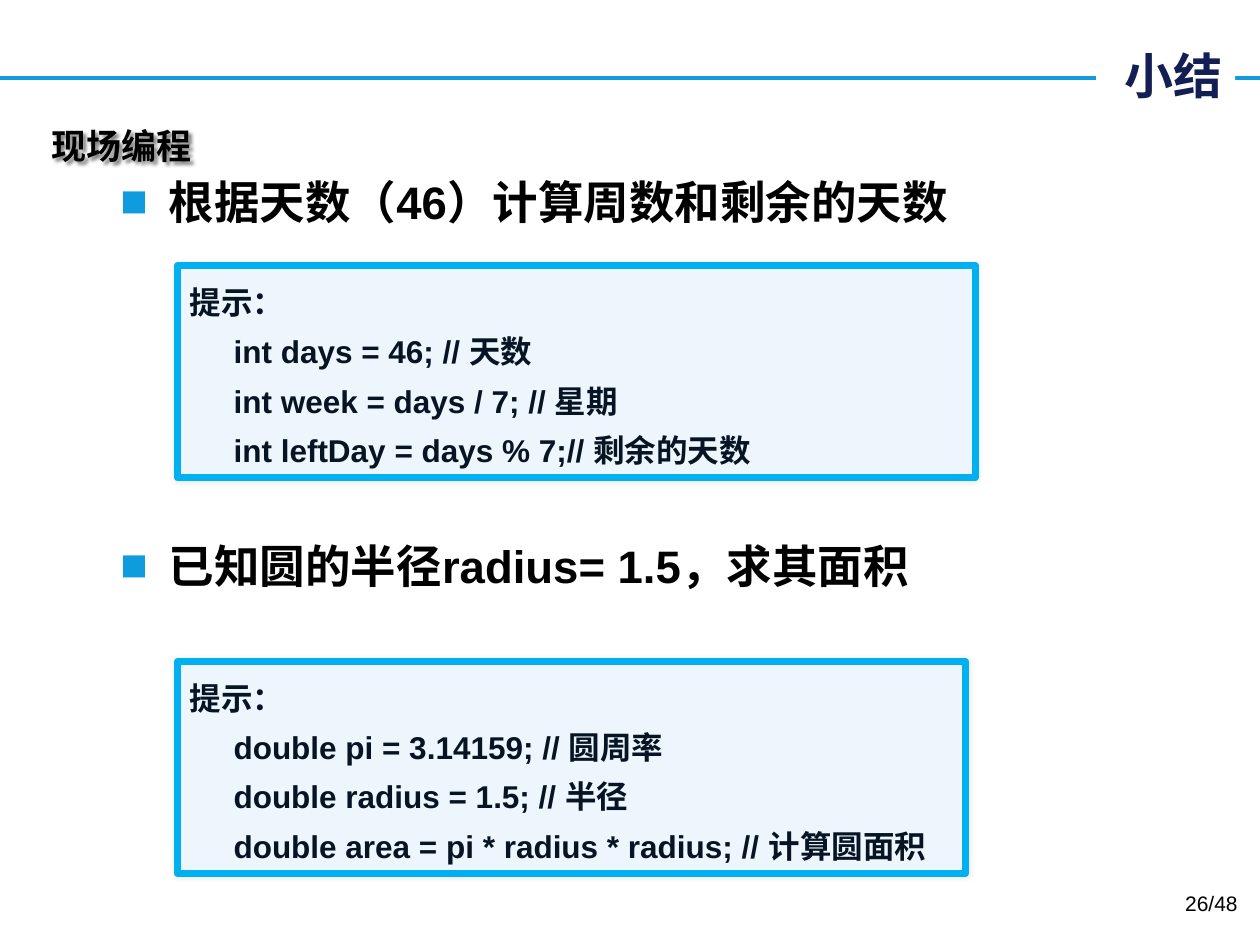
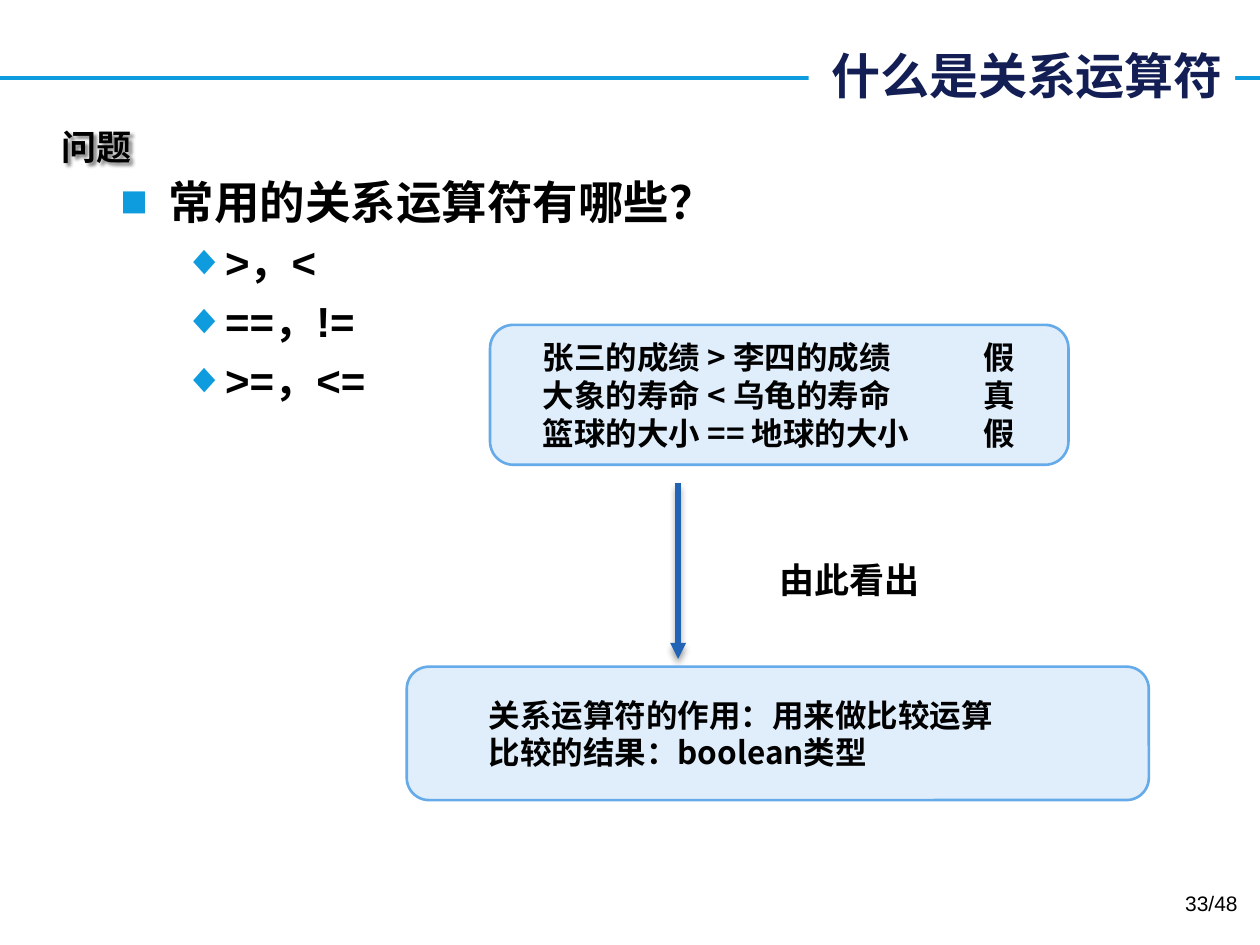
import lxml.etree
import pptx
import pptx.dml.color
import pptx.enum.shapes
import pptx.enum.text
import pptx.oxml.ns
import pptx.util

Cm = pptx.util.Cm
Pt = pptx.util.Pt
ALIGN = pptx.enum.text.PP_ALIGN
MID = pptx.enum.text.MSO_ANCHOR.MIDDLE
ROUND = pptx.enum.shapes.MSO_SHAPE.ROUNDED_RECTANGLE
STRAIGHT = pptx.enum.shapes.MSO_CONNECTOR.STRAIGHT
SANS, CJK = "Arial", "Noto Sans CJK SC"
BLACK, WHITE, NAVY, SKY = "000000", "FFFFFF", "121E54", "0E9CDE"
HINT = {"fill": "EDF5FD", "edge": "00B0F0", "width": 4}
CARD = {"fill": "E0EEFB", "edge": "65AAE9", "width": 1.5}


def paint(code):
    return pptx.dml.color.RGBColor.from_string(code)


def put(thing, form):
    for name, value in form.items():
        setattr(thing, name, value)


def node(parent, tag, **attrs):
    item = lxml.etree.SubElement(parent, pptx.oxml.ns.qn("a:" + tag))
    for name, value in attrs.items():
        item.set(name, str(value))
    return item


class Deck:
    """Holds the shared style and the current slide."""

    def __init__(self):
        self.show = pptx.Presentation()
        put(self.show, {"slide_width": Cm(25.4), "slide_height": Cm(19.05)})
        self.slide = None

    def page(self, title, left, number):
        self.slide = self.show.slides.add_slide(self.show.slide_layouts[6])
        self.line(0, 1.57, 25.4, 1.57, SKY, 2.25)
        box = self.text([title], left, 0.79, 24.9 - left, 1.45, 28, CJK,
                        color=NAVY, align=ALIGN.RIGHT, anchor=MID)
        box.fill.solid()
        box.fill.fore_color.rgb = paint(WHITE)
        self.text([f"{number}/48"], 19.28, 17.83, 5.92, 1.02, 12,
                  bold=False, align=ALIGN.RIGHT)

    def shade(self, shape, alpha, blur, dist, angle):
        props = shape._element.spPr
        for old in props.findall(pptx.oxml.ns.qn("a:effectLst")):
            props.remove(old)
        drop = node(node(props, "effectLst"), "outerShdw", blurRad=Pt(blur),
                    dist=Pt(dist), dir=angle * 60000, rotWithShape=0)
        node(node(drop, "srgbClr", val=BLACK), "alpha", val=alpha * 1000)

    def line(self, x1, y1, x2, y2, color, width):
        line = self.slide.shapes.add_connector(
            STRAIGHT, Cm(x1), Cm(y1), Cm(x2), Cm(y2))
        line.line.color.rgb = paint(color)
        line.line.width = Pt(width)
        node(line._element.spPr, "effectLst")
        return line

    def arrow(self, x, top, end, color):
        line = self.line(x, top, x, end, color, 3)
        node(line.line._get_or_add_ln(), "tailEnd", type="triangle")
        self.shade(line, 40, 4, 3, 90)

    def add_words(self, para, words, size, font=SANS, color=BLACK, bold=True):
        run = para.add_run()
        run.text = words
        put(run.font, {"size": Pt(size), "name": font, "bold": bold})
        run.font.color.rgb = paint(color)
        node(run._r.get_or_add_rPr(), "ea", typeface=CJK)

    def fill(self, shape, rows, size, font=SANS, color=BLACK, bold=True,
             align=ALIGN.LEFT, anchor=pptx.enum.text.MSO_ANCHOR.TOP,
             space=1.0, inset=0.25, tab=None):
        frame = shape.text_frame
        put(frame, {"word_wrap": True, "vertical_anchor": anchor,
                    "margin_left": Cm(inset)})
        for index, words in enumerate(rows):
            para = frame.paragraphs[0] if index == 0 else frame.add_paragraph()
            if tab:
                stops = node(para._p.get_or_add_pPr(), "tabLst")
                node(stops, "tab", pos=Cm(tab), algn="l")
            put(para, {"alignment": align, "line_spacing": space})
            self.add_words(para, words, size, font, color, bold)

    def text(self, rows, left, top, width, height, size, font=SANS, **form):
        box = self.slide.shapes.add_textbox(
            Cm(left), Cm(top), Cm(width), Cm(height))
        self.fill(box, rows, size, font, **form)
        return box

    def head(self, words, left, top, width):
        box = self.text([words], left, top, width, 1.12, 20, CJK)
        self.shade(box, 50, 2, 2, 45)

    def list(self, rows, top, height):
        box = self.slide.shapes.add_textbox(
            Cm(2.18), Cm(top), Cm(21.23), Cm(height))
        frame = box.text_frame
        frame.word_wrap = True
        marks = [("■", 26, 0.97, 0.97), ("◆", 24, 2.06, 0.79)]
        for index, (level, words) in enumerate(rows):
            mark, size, left, hang = marks[level]
            para = frame.paragraphs[0] if index == 0 else frame.add_paragraph()
            props = para._p.get_or_add_pPr()
            props.set("marL", str(Cm(left)))
            props.set("indent", str(-Cm(hang)))
            node(node(props, "buClr"), "srgbClr", val=SKY)
            node(props, "buFont", typeface=SANS)
            node(props, "buChar", char=mark)
            put(para, {"level": level,
                       "space_before": Pt(size * 0.2 if index else 0)})
            self.add_words(para, words, size)

    def panel(self, rows, left, top, width, height, look, curve, **form):
        box = self.slide.shapes.add_shape(
            ROUND, Cm(left), Cm(top), Cm(width), Cm(height))
        box.adjustments[0] = curve
        box.shadow.inherit = False
        box.fill.solid()
        box.fill.fore_color.rgb = paint(look["fill"])
        box.line.color.rgb = paint(look["edge"])
        box.line.width = Pt(look["width"])
        self.fill(box, rows, 18, **form)
        return box

    def hint(self, code, top, width):
        rows = ["提示："] + ["     " + row for row in code]
        box = self.panel(rows, 3.58, top, width, 4.27, HINT, 0,
                         color="071424", space=1.3)
        self.shade(box, 10, 3, 0, 0)

    def card(self, rows, left, top, width, height, inset, tab=None):
        self.panel(rows, left, top, width, height, CARD, 0.167, font=CJK,
                   anchor=MID, inset=inset, tab=tab)


def main():
    deck = Deck()

    deck.page("小结", 22.1, 26)
    deck.head("现场编程", 0.79, 2.39, 3.58)
    deck.list([(0, "根据天数（46）计算周数和剩余的天数")], 3.38, 1.5)
    deck.hint(["int days = 46; // 天数",
               "int week = days / 7; // 星期",
               "int leftDay = days % 7;// 剩余的天数"], 5.36, 16.08)
    deck.list([(0, "已知圆的半径radius= 1.5，求其面积")], 10.72, 1.5)
    deck.hint(["double pi = 3.14159; // 圆周率",
               "double radius = 1.5; // 半径",
               "double area = pi * radius * radius; // 计算圆面积"],
              13.34, 15.88)

    deck.page("什么是关系运算符", 16.3, 33)
    deck.head("问题", 0.99, 2.41, 1.96)
    deck.list([(0, "常用的关系运算符有哪些？"), (1, ">，<"),
               (1, "==，!="), (1, ">=，<=")], 3.38, 6)
    deck.card(["张三的成绩 > 李四的成绩\t假",
               "大象的寿命 < 乌龟的寿命\t真",
               "篮球的大小 == 地球的大小\t假"],
              9.88, 6.55, 11.66, 2.82, 0.93, tab=8.89)
    deck.arrow(13.67, 9.73, 13.28, "2163B4")
    deck.text(["由此看出"], 15.47, 11.13, 3.99, 1.19, 20)
    deck.card(["关系运算符的作用：用来做比较运算", "比较的结果：boolean类型"],
              8.2, 13.44, 14.96, 2.69, 1.52)

    deck.show.save("out.pptx")


if __name__ == "__main__":
    main()
